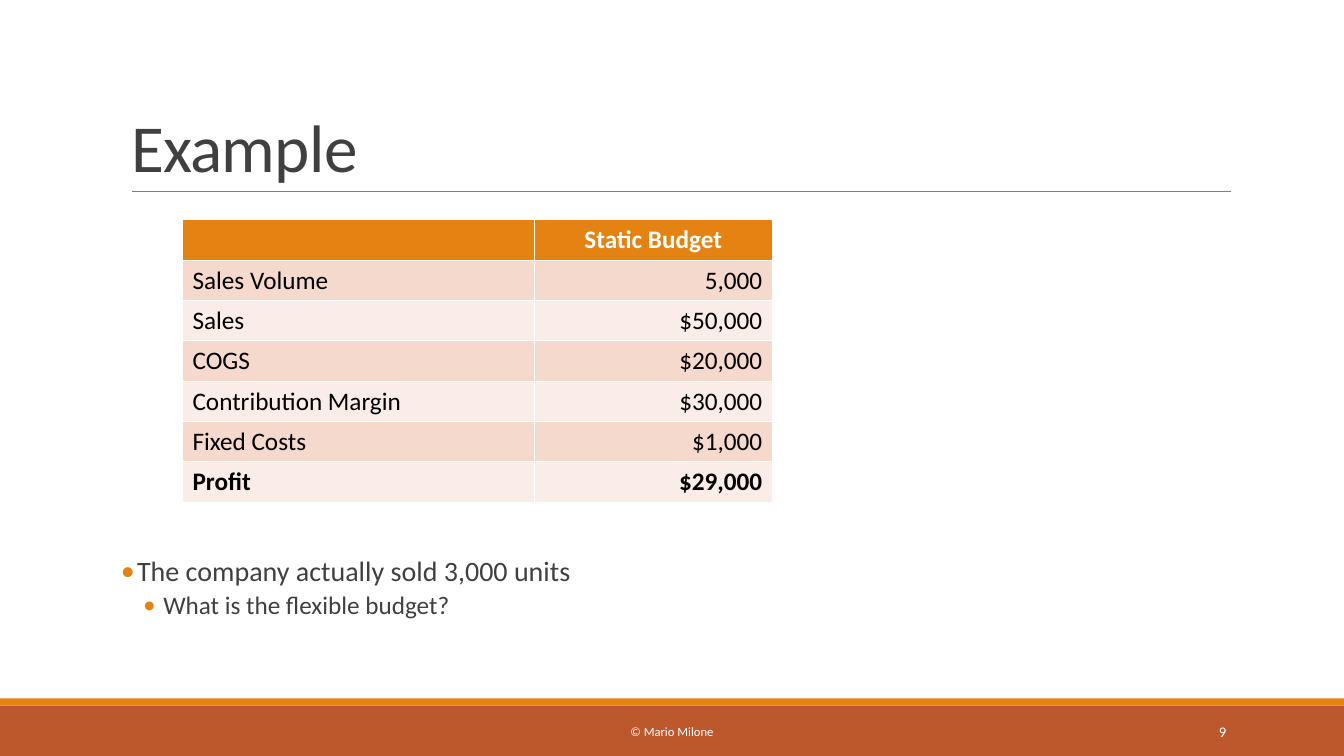
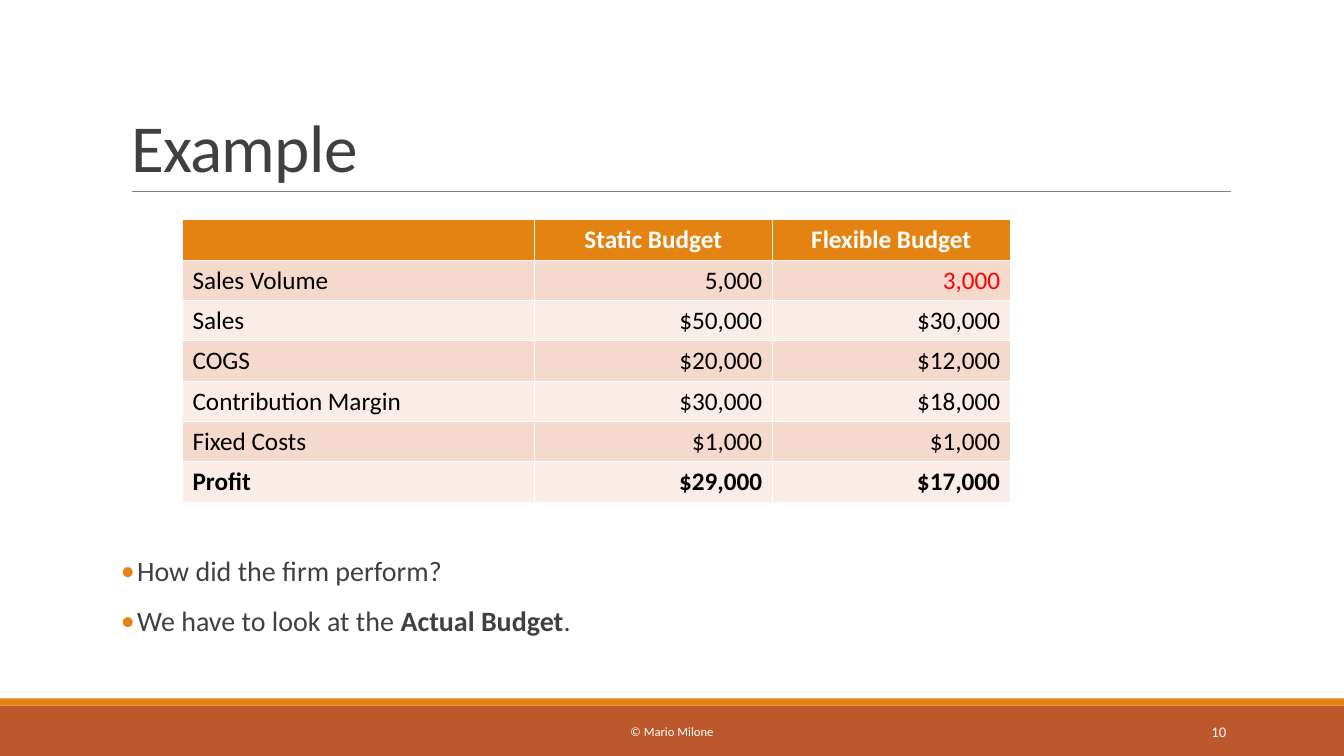
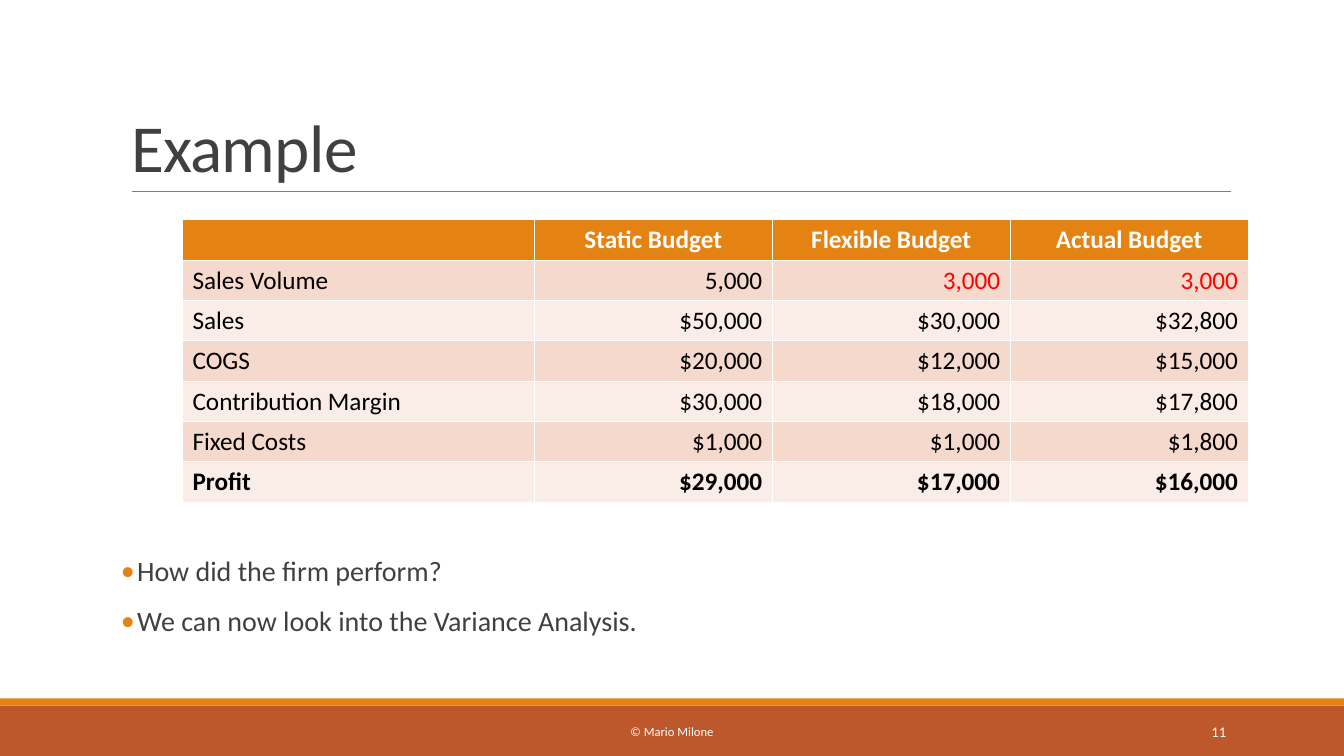
from pptx import Presentation
from pptx.dml.color import RGBColor
from pptx.enum.shapes import MSO_CONNECTOR, MSO_SHAPE
from pptx.enum.text import MSO_ANCHOR, MSO_AUTO_SIZE, PP_ALIGN
from pptx.oxml.ns import qn
from pptx.util import Inches, Pt
from lxml.etree import SubElement

FONT = "Calibri"
RUST = RGBColor(0xBD, 0x58, 0x2C)
ORANGE = RGBColor(0xE4, 0x83, 0x12)
GREY = RGBColor(0x80, 0x80, 0x80)
DARK = RGBColor(0x40, 0x40, 0x40)
WHITE = RGBColor(0xFF, 0xFF, 0xFF)
BLACK = RGBColor(0, 0, 0)
RED = RGBColor(0xFF, 0, 0)
TINTS = [RGBColor(0xFA, 0xED, 0xE7), RGBColor(0xF5, 0xD9, 0xCC)]

WIDTH = 13.33
BANDS = [(7, 0.5, RUST), (6.93, 0.07, ORANGE)]
LABEL_W, VALUE_W, ROW_H = 3.49, 2.36, 0.4

LABELS = ["", "Sales Volume", "Sales", "COGS",
          "Contribution Margin", "Fixed Costs", "Profit"]
STATIC = ["Static Budget", "5,000", "$50,000", "$20,000",
          "$30,000", "$1,000", "$29,000"]
FLEX = ["Flexible Budget", "3,000", "$30,000", "$12,000",
        "$18,000", "$1,000", "$17,000"]
ACTUAL = ["Actual Budget", "3,000", "$32,800", "$15,000",
          "$17,800", "$1,800", "$16,000"]

# Each note is a level and its parts; every second part is bold.
PAGES = [
    (9, [LABELS, STATIC],
     [(0, ["The company actually sold 3,000 units"]),
      (1, ["What is the flexible budget?"])]),
    (10, [LABELS, STATIC, FLEX],
     [(0, ["How did the firm perform?"]),
      (0, ["We have to look at the ", "Actual Budget", "."])]),
    (11, [LABELS, STATIC, FLEX, ACTUAL],
     [(0, ["How did the firm perform?"]),
      (0, ["We can now look into the Variance Analysis."])]),
]
# Size, left margin, hanging indent, space before and after for each level
LEVELS = [(20, 0.16, 0.16, 12, 2), (18, 0.42, 0.2, 2, 4)]


def style(para, size, color, bold=False, align=PP_ALIGN.LEFT):
    para.alignment = align
    for run in para.runs:
        run.font.name = FONT
        run.font.size = Pt(size)
        run.font.bold = bold
        run.font.color.rgb = color


def bullet(para, margin, hang):
    props = para._p.get_or_add_pPr()
    props.set("marL", str(Inches(margin)))
    props.set("indent", str(-Inches(hang)))
    tint = SubElement(SubElement(props, qn("a:buClr")), qn("a:srgbClr"))
    tint.set("val", str(ORANGE))
    SubElement(props, qn("a:buFont")).set("typeface", FONT)
    SubElement(props, qn("a:buChar")).set("char", "•")


prs = Presentation()
prs.slide_width, prs.slide_height = Inches(WIDTH), Inches(7.5)

for number, columns, notes in PAGES:
    slide = prs.slides.add_slide(prs.slide_layouts[5])
    shapes = slide.shapes

    for top, height, color in BANDS:
        band = shapes.add_shape(MSO_SHAPE.RECTANGLE, 0, Inches(top),
                                Inches(WIDTH), Inches(height))
        band.shadow.inherit = False
        band.fill.solid()
        band.fill.fore_color.rgb = color
        band.line.fill.background()

    rule = shapes.add_connector(MSO_CONNECTOR.STRAIGHT, Inches(1.31),
                                Inches(1.9), Inches(12.21), Inches(1.9))
    rule.line.color.rgb = GREY
    rule.line.width = Pt(0.5)
    SubElement(rule._element.spPr, qn("a:effectLst"))

    title = shapes.title
    title.left, title.top = Inches(1.2), Inches(0.31)
    title.width, title.height = Inches(11), Inches(1.59)
    frame = title.text_frame
    frame.text = "Example"
    frame.auto_size = MSO_AUTO_SIZE.NONE
    frame.vertical_anchor = MSO_ANCHOR.BOTTOM
    para = frame.paragraphs[0]
    para.line_spacing = 0.85
    style(para, 48, DARK)
    para.runs[0].font._element.set("spc", "-50")

    frame = shapes.add_textbox(Inches(1.2), Inches(5.48),
                               Inches(11), Inches(0.94)).text_frame
    frame.word_wrap = True
    frame.margin_left = frame.margin_right = 0
    for index, (level, parts) in enumerate(notes):
        para = frame.add_paragraph() if index else frame.paragraphs[0]
        size, margin, hang, before, after = LEVELS[level]
        para.level = level
        para.line_spacing = 0.9
        para.space_before, para.space_after = Pt(before), Pt(after)
        bullet(para, margin, hang)
        for part in parts:
            para.add_run().text = part
        style(para, size, DARK)
        for run in para.runs[1::2]:
            run.font.bold = True

    for left, width, text, size, align in [
            (4.03, 5.27, "© Mario Milone", 9, PP_ALIGN.CENTER),
            (10.83, 1.43, str(number), 10.5, PP_ALIGN.RIGHT)]:
        frame = shapes.add_textbox(Inches(left), Inches(7.06),
                                   Inches(width), Inches(0.4)).text_frame
        frame.word_wrap = True
        frame.vertical_anchor = MSO_ANCHOR.MIDDLE
        frame.text = text
        style(frame.paragraphs[0], size, WHITE, align=align)

    count = len(LABELS)
    table = shapes.add_table(
        count, len(columns), Inches(1.81), Inches(2.18),
        Inches(LABEL_W + VALUE_W * (len(columns) - 1)),
        Inches(ROW_H * count)).table
    for col, values in enumerate(columns):
        table.columns[col].width = Inches(VALUE_W if col else LABEL_W)
        for row, value in enumerate(values):
            cell = table.cell(row, col)
            cell.text = value
            cell.fill.solid()
            cell.fill.fore_color.rgb = TINTS[row % 2] if row else ORANGE
            if row == 0:
                color, align = WHITE, PP_ALIGN.CENTER
            else:
                color = RED if row == 1 and col > 1 else BLACK
                align = PP_ALIGN.RIGHT if col else PP_ALIGN.LEFT
            style(cell.text_frame.paragraphs[0], 18, color,
                  row in (0, count - 1), align)

prs.save("out.pptx")
